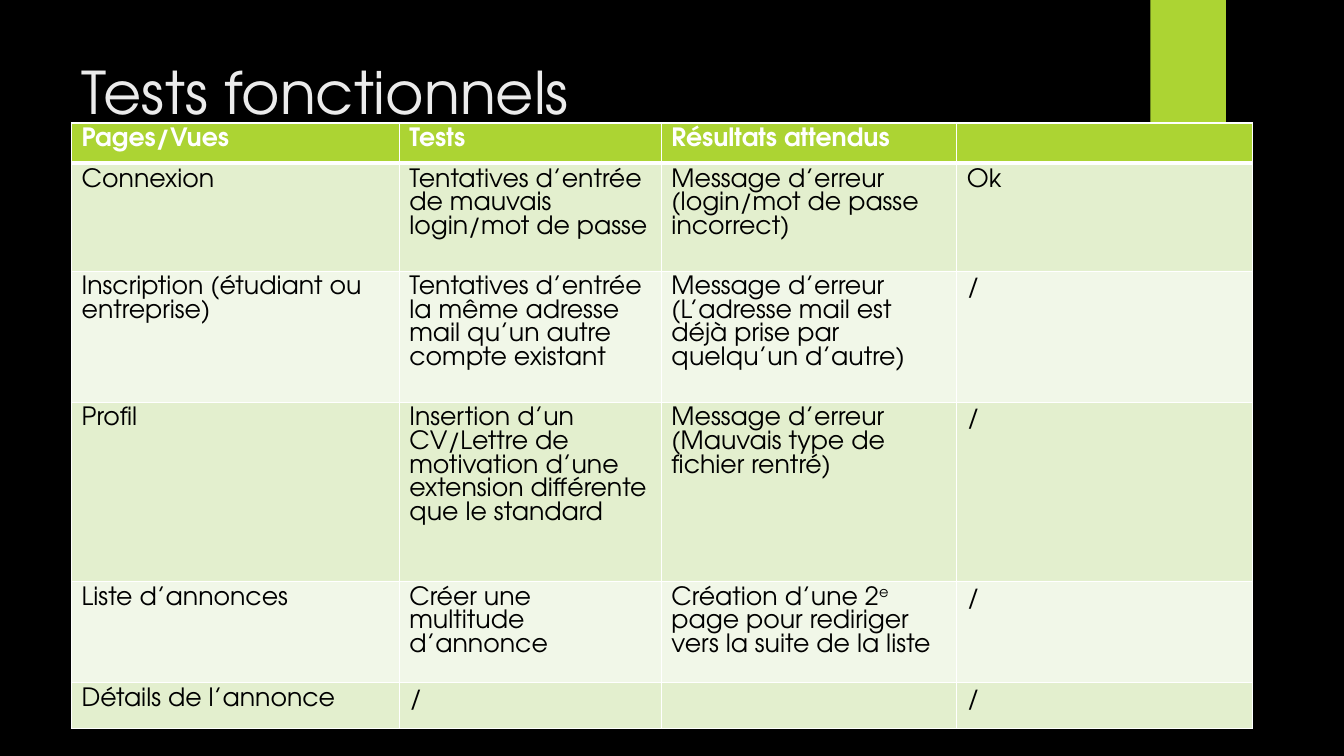
from dataclasses import dataclass

from lxml import etree
from pptx import Presentation
from pptx import util as u
from pptx.dml.color import RGBColor
from pptx.enum import shapes, text
from pptx.oxml.ns import qn

PX = 9144  # EMU per px, 100 px to the inch


@dataclass(frozen=True)
class Theme:
    font: str = "TeX Gyre Adventor"
    background: str = "000000"
    accent: str = "ACD433"
    title: str = "EBEBEB"
    header_text: str = "FFFFFF"
    body_text: str = "000000"
    bands: tuple = ("E3EFCE", "F1F7E8")
    grid: str = "FFFFFF"
    title_size: int = 42
    table_size: int = 18
    thin: int = 1
    thick: int = 3


HEADER = ["Pages/Vues", "Tests", "Résultats attendus", ""]
# A cell given as a tuple alternates normal and superscript runs.
TESTS = [
    ["Connexion", "Tentatives d’entrée de mauvais login/mot de passe",
     "Message d’erreur (login/mot de passe incorrect)", "Ok"],
    ["Inscription (étudiant ou entreprise)",
     "Tentatives d’entrée la même adresse mail qu’un autre compte existant",
     "Message d’erreur (L’adresse mail est déjà prise par quelqu’un d’autre)", "/"],
    ["Profil",
     "Insertion d’un CV/Lettre de motivation d’une extension différente que le standard",
     "Message d’erreur (Mauvais type de fichier rentré)", "/"],
    ["Liste d’annonces", "Créer une multitude d’annonce",
     ("Création d’une 2", "e", " page pour rediriger vers la suite de la liste"), "/"],
    ["Détails de l’annonce", "/", "", "/"],
]
COLUMN_WIDTHS = [325, 260, 293, 293]
ROW_HEIGHTS = [39, 107, 122, 178, 97, 46]


class SlideBuilder:
    def __init__(self, slide, theme):
        self.slide = slide
        self.theme = theme
        self.fill(slide.background, theme.background)

    def fill(self, target, color):
        target.fill.solid()
        target.fill.fore_color.rgb = RGBColor.from_string(color)

    def run(self, paragraph, content, size, color, bold=False):
        run = paragraph.add_run()
        run.text = content
        run.font.name = self.theme.font
        run.font.size = u.Pt(size)
        run.font.bold = bold
        run.font.color.rgb = RGBColor.from_string(color)
        return run

    def block(self, left, top, width, height, color):
        block = self.slide.shapes.add_shape(
            shapes.MSO_SHAPE.RECTANGLE, left * PX, top * PX, width * PX, height * PX)
        block.shadow.inherit = False
        self.fill(block, color)
        block.line.fill.background()

    def title(self, left, top, width, height, content):
        frame = self.slide.shapes.add_textbox(
            left * PX, top * PX, width * PX, height * PX).text_frame
        frame.word_wrap = True
        frame.vertical_anchor = text.MSO_ANCHOR.TOP
        self.run(frame.paragraphs[0], content, self.theme.title_size, self.theme.title)

    def borders(self, cell, top, bottom):
        """Rule all four sides; top and bottom are widths in points."""
        thin = self.theme.thin
        properties = cell._tc.get_or_add_tcPr()
        sides = {"lnL": thin, "lnR": thin, "lnT": top, "lnB": bottom}
        for position, (side, width) in enumerate(sides.items()):
            line = etree.Element(qn(f"a:{side}"), w=str(u.Pt(width)))
            solid = etree.SubElement(line, qn("a:solidFill"))
            etree.SubElement(solid, qn("a:srgbClr"), val=self.theme.grid)
            properties.insert(position, line)

    def empty_line(self, paragraph):
        """Give an empty cell the table's font, so that its row keeps its height."""
        end = etree.SubElement(
            paragraph._p, qn("a:endParaRPr"), sz=str(self.theme.table_size * 100))
        etree.SubElement(end, qn("a:latin"), typeface=self.theme.font)

    def cell(self, cell, content, row):
        theme = self.theme
        is_header = row == 0
        self.fill(cell, theme.accent if is_header else theme.bands[(row - 1) % 2])
        self.borders(cell,
                     top=theme.thick if row == 1 else theme.thin,
                     bottom=theme.thick if is_header else theme.thin)
        paragraph = cell.text_frame.paragraphs[0]
        if not content:
            self.empty_line(paragraph)
            return
        color = theme.header_text if is_header else theme.body_text
        parts = content if isinstance(content, tuple) else (content,)
        for index, part in enumerate(parts):
            run = self.run(paragraph, part, theme.table_size, color, is_header)
            if index % 2:
                run._r.get_or_add_rPr().set("baseline", "30000")

    def table(self, left, top, rows, widths, heights):
        table = self.slide.shapes.add_table(
            len(rows), len(widths), left * PX, top * PX,
            sum(widths) * PX, sum(heights) * PX).table
        for column, width in zip(table.columns, widths):
            column.width = width * PX
        for row, height in zip(table.rows, heights):
            row.height = height * PX
        for row, contents in enumerate(rows):
            for column, content in enumerate(contents):
                self.cell(table.cell(row, column), content, row)


def main():
    presentation = Presentation()
    presentation.slide_width = 1333 * PX
    presentation.slide_height = 750 * PX
    theme = Theme()
    builder = SlideBuilder(
        presentation.slides.add_slide(presentation.slide_layouts[6]), theme)
    builder.block(1141, 0, 75, 125, theme.accent)
    builder.title(71, 50, 1029, 153, "Tests fonctionnels")
    builder.table(71, 122, [HEADER, *TESTS], COLUMN_WIDTHS, ROW_HEIGHTS)
    presentation.save("out.pptx")


if __name__ == "__main__":
    main()
